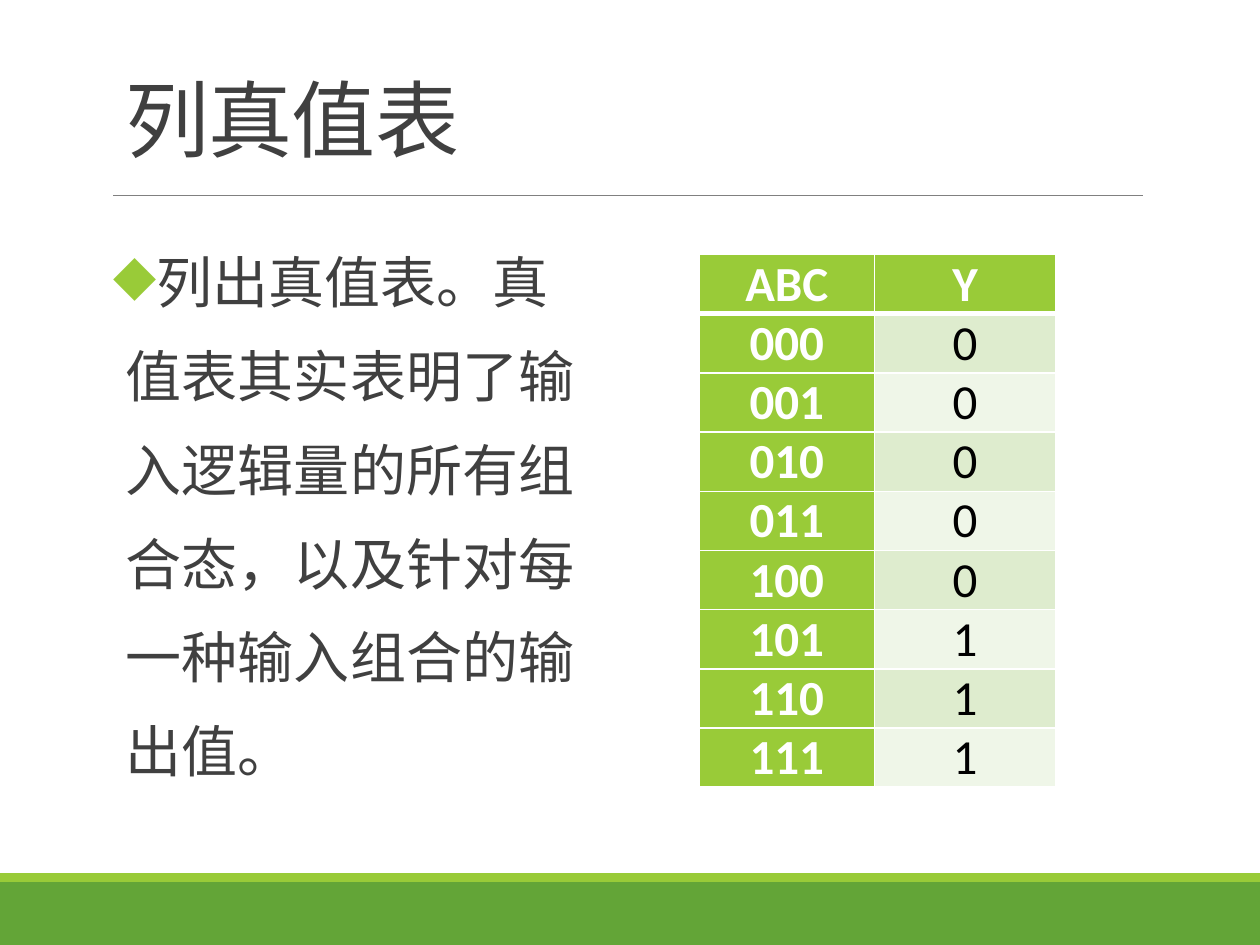
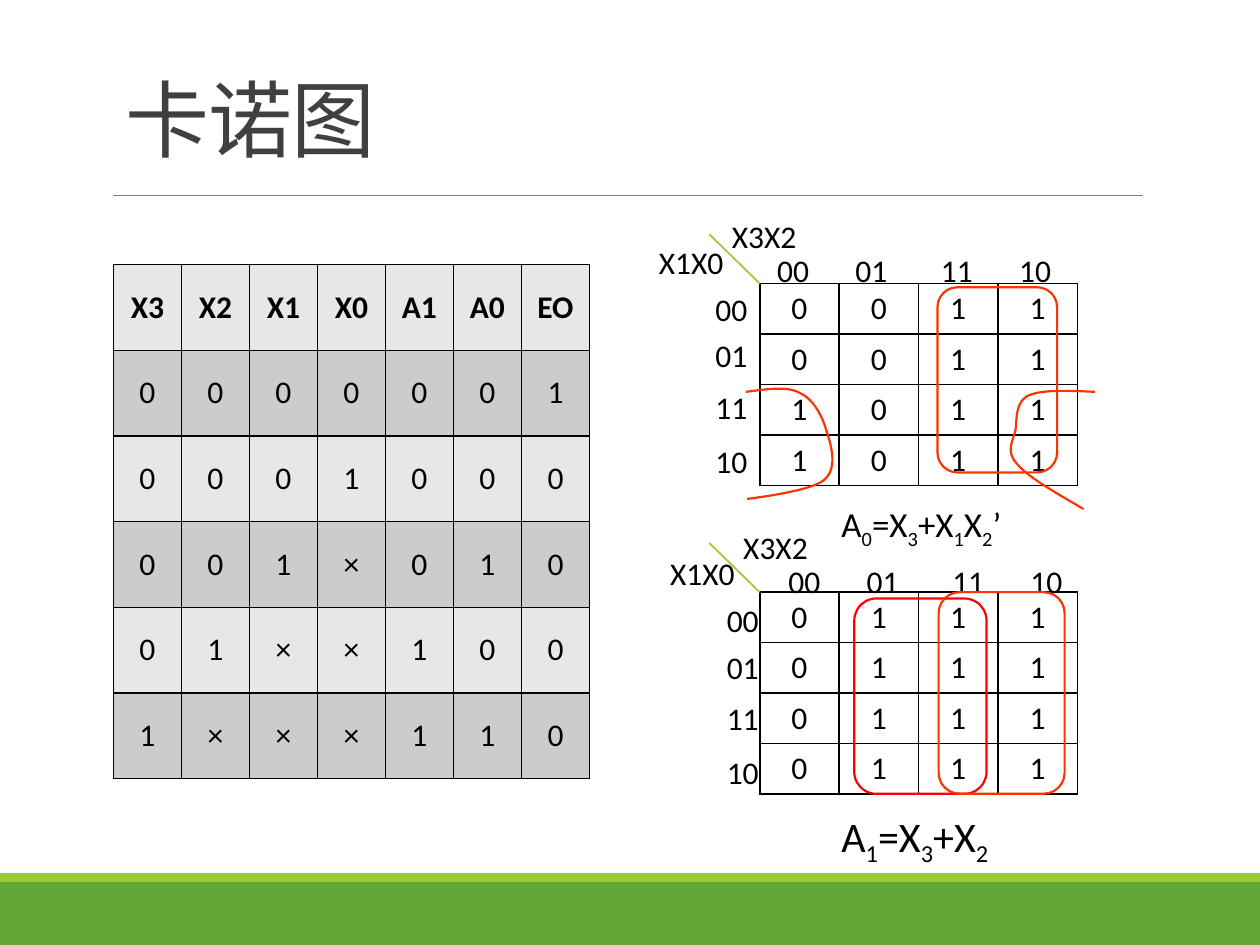
"""Build two slides on truth tables and Karnaugh maps."""
from dataclasses import dataclass

from lxml import etree
from pptx import Presentation
from pptx.dml.color import RGBColor
from pptx.enum.shapes import MSO_CONNECTOR, MSO_SHAPE
from pptx.enum.text import MSO_ANCHOR, PP_ALIGN
from pptx.oxml.ns import qn
from pptx.util import Inches, Pt

RECTANGLE, ROUNDED = MSO_SHAPE.RECTANGLE, MSO_SHAPE.ROUNDED_RECTANGLE
STRAIGHT = MSO_CONNECTOR.STRAIGHT
TOP, MIDDLE, BOTTOM = MSO_ANCHOR.TOP, MSO_ANCHOR.MIDDLE, MSO_ANCHOR.BOTTOM
CENTER = PP_ALIGN.CENTER


@dataclass(frozen=True)
class Theme:
    green: str = "63A537"
    lime: str = "99CB38"
    pale: str = "DEECCE"
    paler: str = "EFF6E8"
    gray: str = "CCCCCC"
    light_gray: str = "E7E7E7"
    rule: str = "808080"
    ink: str = "404040"
    black: str = "000000"
    white: str = "FFFFFF"
    orange: str = "FF3300"
    red: str = "FF0000"
    latin: str = "Calibri"
    chinese: str = "Noto Sans CJK SC"
    title_size: float = 48
    body_size: float = 32
    truth_size: float = 28
    map_size: float = 18


THEME = Theme()

TRUTH_TITLE = "列真值表"
TRUTH_NOTE = "列出真值表。真值表其实表明了输入逻辑量的所有组合态，以及针对每一种输入组合的输出值。"
TRUTH_ROWS = [
    ("ABC", "Y"), ("000", "0"), ("001", "0"), ("010", "0"), ("011", "0"),
    ("100", "0"), ("101", "1"), ("110", "1"), ("111", "1"),
]

MAP_TITLE = "卡诺图"
ENCODER_ROWS = [
    ("X3", "X2", "X1", "X0", "A1", "A0", "EO"),
    "0000001", "0001000", "001×010", "01××100", "1×××110",
]
GRAY_CODE = ("00", "01", "11", "10")
ROW_LABEL_TOPS = (0, 0.37, 0.78, 1.21)
COLUMN_LABEL_LEFTS = (0.49, 1.11, 1.79, 2.41)
MAPS = [
    {
        "values": ("0011", "0011", "1011", "1011"),
        "corner": (6.03, 2.25),
        "labels_at": (5.58, 2.25),
        "formula": ("A", "0", "=X", "3", "+X", "1", "X", "2", "’"),
        "formula_box": (6.58, 3.94, 1.53, 0.44),
        "formula_size": 20,
        "loops": [((7.44, 2.28, 0.95, 1.47), THEME.orange)],
        "arcs": [
            [(5.92, 3.11), (6.08, 3.09), (6.25, 3.06), (6.35, 3.12),
             (6.46, 3.17), (6.53, 3.31), (6.56, 3.42),
             (6.6, 3.54), (6.65, 3.72), (6.54, 3.81),
             (6.44, 3.9), (5.93, 3.96), (5.93, 3.96)],
            [(8.69, 3.11), (8.48, 3.1), (8.27, 3.09), (8.16, 3.14),
             (8.06, 3.19), (8.07, 3.32), (8.06, 3.41),
             (8.04, 3.5), (7.98, 3.58), (8.07, 3.68),
             (8.16, 3.79), (8.38, 3.91), (8.6, 4.04)],
        ],
    },
    {
        "values": ("0111",) * 4,
        "corner": (6.03, 4.7),
        "labels_at": (5.67, 4.72),
        "formula": ("A", "1", "=X", "3", "+X", "2"),
        "formula_box": (6.58, 6.38, 1.43, 0.5),
        "formula_size": 24,
        "loops": [((6.78, 4.75, 1.05, 1.55), THEME.red),
                  ((7.45, 4.7, 1, 1.6), THEME.orange)],
        "arcs": [],
    },
]


def rgb(color):
    return RGBColor.from_string(color)


def inches(values):
    return [Inches(value) for value in values]


def set_font(paragraph, size, color, family=THEME.latin, bold=False):
    font = paragraph.font
    font.size, font.bold, font.name = Pt(size), bold, family
    font.color.rgb = rgb(color)
    if family == THEME.chinese:
        defaults = paragraph._p.pPr.find(qn("a:defRPr"))
        latin = defaults.find(qn("a:latin"))
        east_asian = etree.Element(qn("a:ea"), typeface=family)
        latin.addnext(east_asian)


def add_text(shapes, box, text="", wrap=False, anchor=TOP):
    frame = shapes.add_textbox(*inches(box)).text_frame
    frame.word_wrap, frame.vertical_anchor = wrap, anchor
    paragraph = frame.paragraphs[0]
    if text:
        paragraph.add_run().text = text
    return frame, paragraph


def add_label(shapes, left, top, text, width=0.46):
    paragraph = add_text(shapes, (left, top, width, 0.4), text)[1]
    set_font(paragraph, THEME.map_size, THEME.black)


def add_line(slide, start, end, color, width):
    line = slide.shapes.add_connector(STRAIGHT, *inches(start + end))
    line.line.color.rgb, line.line.width = rgb(color), Pt(width)
    etree.SubElement(line._element.spPr, qn("a:effectLst"))


def outline(shape, color):
    shape.shadow.inherit = False
    shape.fill.background()
    shape.line.color.rgb, shape.line.width = rgb(color), Pt(1.25)


def add_slide(prs, title):
    slide = prs.slides.add_slide(prs.slide_layouts[6])
    for top, height, color in ((7, 0.5, THEME.green), (6.93, 0.07, THEME.lime)):
        band = slide.shapes.add_shape(RECTANGLE, *inches((0, top, 10, height)))
        band.shadow.inherit = False
        band.fill.solid()
        band.fill.fore_color.rgb = rgb(color)
        band.line.fill.background()
    add_line(slide, (0.9, 1.55), (9.07, 1.55), THEME.rule, 0.5)
    heading = add_text(slide.shapes, (0.9, 0.31, 8.25, 1.08), title, True, BOTTOM)[1]
    heading.line_spacing = 0.85
    set_font(heading, THEME.title_size, THEME.ink, THEME.chinese)
    heading._p.pPr.find(qn("a:defRPr")).set("spc", "-50")
    return slide


def set_borders(cell, color, widths):
    properties = cell._tc.get_or_add_tcPr()
    for side, width in zip("LRTB", widths):
        edge = etree.SubElement(properties, qn(f"a:ln{side}"), w=str(Pt(width)))
        fill = etree.SubElement(edge, qn("a:solidFill"))
        etree.SubElement(fill, qn("a:srgbClr"), val=color)


def add_grid(slide, corner, rows, widths, row_height, style):
    """Add a table; style(row, column) gives each cell's look."""
    size = (sum(widths), row_height * len(rows))
    table = slide.shapes.add_table(
        len(rows), len(widths), *inches(corner + size)).table
    table.first_row = table.horz_banding = False
    for column, width in zip(table.columns, widths):
        column.width = Inches(width)
    for r, row in enumerate(rows):
        table.rows[r].height = Inches(row_height)
        for c, value in enumerate(row):
            cell, look = table.cell(r, c), style(r, c)
            set_borders(cell, look["border"], look.get("edges", (1, 1, 1, 1)))
            if look.get("fill"):
                cell.fill.solid()
                cell.fill.fore_color.rgb = rgb(look["fill"])
            else:
                cell.fill.background()
            if look.get("tight"):
                cell.margin_left = cell.margin_right = Inches(0.07)
                cell.margin_top = cell.margin_bottom = 0
            cell.vertical_anchor = look.get("anchor", TOP)
            paragraph = cell.text_frame.paragraphs[0]
            paragraph.add_run().text = value
            paragraph.alignment = CENTER
            set_font(paragraph, look["size"], look.get("ink", THEME.black),
                     bold=look.get("bold", False))


def truth_style(r, c):
    head = r == 0 or c == 0
    band = THEME.pale if r % 2 else THEME.paler
    return {
        "border": THEME.white, "size": THEME.truth_size, "tight": True,
        "edges": (1, 1, 3 if r == 1 else 1, 3 if r == 0 else 1),
        "fill": THEME.lime if head else band,
        "ink": THEME.white if head else THEME.black, "bold": head,
    }


def encoder_style(r, c):
    return {
        "border": THEME.black, "size": THEME.map_size, "anchor": MIDDLE,
        "fill": THEME.gray if r % 2 else THEME.light_gray, "bold": r == 0,
    }


def map_style(r, c):
    return {"border": THEME.black, "size": THEME.map_size}


def curve_points(knots, steps=12):
    points = [knots[0]]
    for i in range(0, len(knots) - 1, 3):
        for t in (step / steps for step in range(1, steps + 1)):
            weights = ((1 - t) ** 3, 3 * t * (1 - t) ** 2, 3 * t * t * (1 - t), t ** 3)
            points.append(tuple(
                sum(w * knot[axis] for w, knot in zip(weights, knots[i:i + 4]))
                for axis in (0, 1)))
    return points


def add_map(slide, data):
    left, top = data["corner"]
    add_grid(slide, data["corner"], data["values"], [0.63] * 4, 0.4, map_style)
    add_line(slide, (left, top), (left - 0.4, top - 0.39), THEME.lime, 1)

    formula = add_text(slide.shapes, data["formula_box"])[1]
    for i, part in enumerate(data["formula"]):
        run = formula.add_run()
        run.text = part
        if i % 2:
            run._r.get_or_add_rPr().set("baseline", "-25000")
    set_font(formula, data["formula_size"], THEME.black)

    labels = slide.shapes.add_group_shape().shapes
    x, y = data["labels_at"]
    add_label(labels, x - 0.45, y - 0.37, "X1X0", 0.72)
    add_label(labels, x + 0.13, y - 0.58, "X3X2", 0.72)
    for code, row_top, column_left in zip(GRAY_CODE, ROW_LABEL_TOPS, COLUMN_LABEL_LEFTS):
        add_label(labels, x, y + row_top, code)
        add_label(labels, x + column_left, y - 0.31, code)

    for box, color in data["loops"]:
        outline(slide.shapes.add_shape(ROUNDED, *inches(box)), color)
    for knots in data["arcs"]:
        points = [inches(point) for point in curve_points(knots)]
        builder = slide.shapes.build_freeform(*points[0])
        builder.add_line_segments(points[1:], close=False)
        outline(builder.convert_to_shape(), THEME.orange)


def add_note(slide):
    frame, note = add_text(slide.shapes, (0.9, 1.7, 3.86, 4.72), TRUTH_NOTE, True)
    frame.margin_left = frame.margin_right = 0
    properties = note._p.get_or_add_pPr()
    properties.set("marL", str(Inches(0.1)))
    properties.set("indent", str(-Inches(0.1)))
    bullet_color = etree.SubElement(properties, qn("a:buClr"))
    etree.SubElement(bullet_color, qn("a:srgbClr"), val=THEME.lime)
    etree.SubElement(properties, qn("a:buChar"), char="◆")
    note.line_spacing, note.space_after = Pt(53.7), Pt(2)
    set_font(note, THEME.body_size, THEME.ink, THEME.chinese)


def main():
    prs = Presentation()
    prs.slide_width, prs.slide_height = Inches(10), Inches(7.5)

    truth = add_slide(prs, TRUTH_TITLE)
    add_note(truth)
    add_grid(truth, (5.55, 2.02), TRUTH_ROWS, [1.39, 1.44], 0.47, truth_style)

    maps = add_slide(prs, MAP_TITLE)
    add_grid(maps, (0.9, 2.1), ENCODER_ROWS, [0.54] * 7, 0.68, encoder_style)
    for data in MAPS:
        add_map(maps, data)

    prs.save("out.pptx")


if __name__ == "__main__":
    main()
